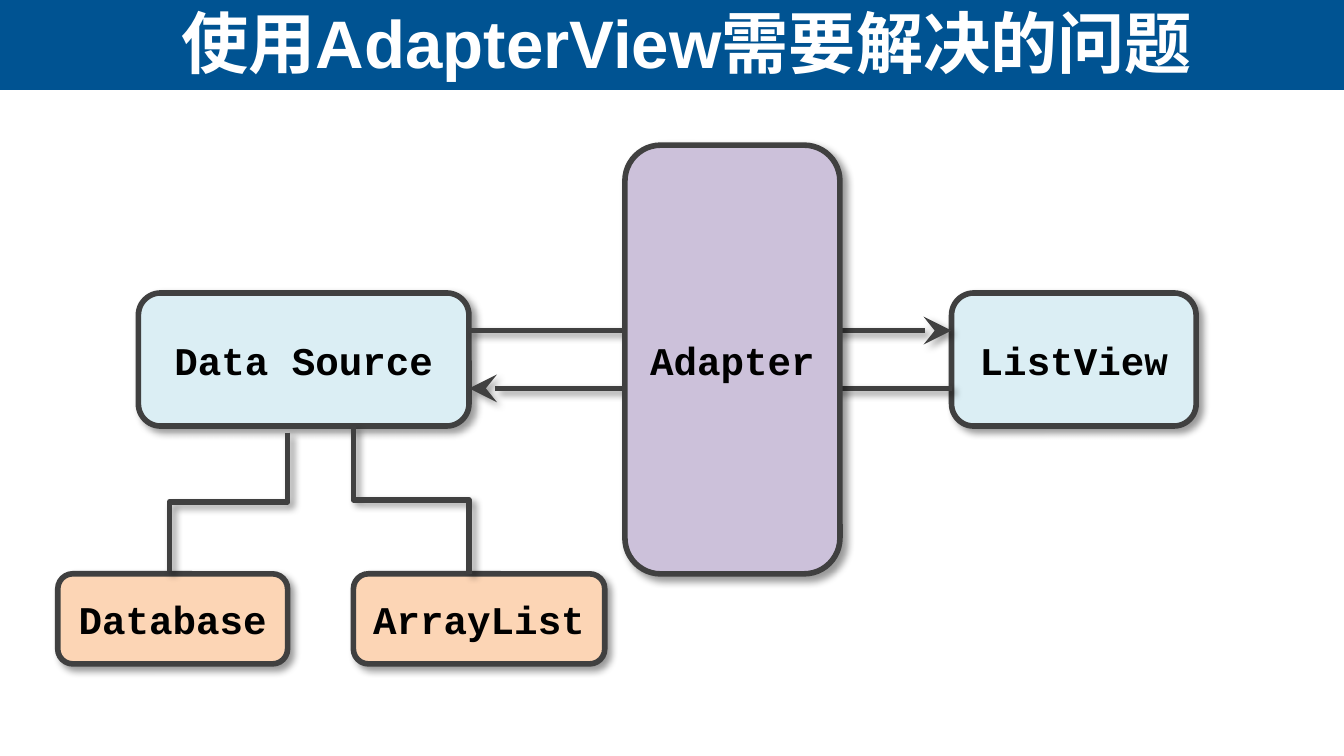
import pptx
import pptx.util
import pptx.oxml
import pptx.oxml.ns
import pptx.dml.color
import pptx.enum.shapes
import pptx.enum.text
from pptx.util import Inches

RGB = pptx.dml.color.RGBColor
SHAPE = pptx.enum.shapes.MSO_SHAPE
LINK = pptx.enum.shapes.MSO_CONNECTOR
ALIGN = pptx.enum.text.PP_ALIGN
MIDDLE = pptx.enum.text.MSO_ANCHOR.MIDDLE

NAVY = RGB(0x00, 0x53, 0x92)
WHITE = RGB(0xFF, 0xFF, 0xFF)
BLACK = RGB(0x00, 0x00, 0x00)
GREY = RGB(0x40, 0x40, 0x40)
AQUA = RGB(0xDB, 0xEE, 0xF4)
PEACH = RGB(0xFC, 0xD5, 0xB5)
LILAC = RGB(0xCC, 0xC1, 0xDA)

SHADOW = (
    f"<a:effectLst {pptx.oxml.ns.nsdecls('a')}>"
    '<a:outerShdw blurRad="50800" dist="38100" dir="2700000" algn="tl" rotWithShape="0">'
    '<a:srgbClr val="000000"><a:alpha val="40000"/></a:srgbClr>'
    "</a:outerShdw></a:effectLst>"
)


def style(item):
    """Give a box or connector the thick grey line and soft shadow."""
    item.line.color.rgb = GREY
    item.line.width = pptx.util.Pt(3)
    item._element.spPr.append(pptx.oxml.parse_xml(SHADOW))


def set_font(para, name, size, color):
    para.alignment = ALIGN.CENTER
    font = para.font
    font.name, font.size, font.bold = name, pptx.util.Pt(size), True
    font.color.rgb = color


def add_header(slide, left, top, width, height):
    band = slide.shapes.add_shape(
        SHAPE.RECTANGLE, Inches(left), Inches(top), Inches(width), Inches(height))
    band.shadow.inherit = False
    band.fill.solid()
    band.fill.fore_color.rgb = NAVY
    band.line.fill.background()
    slide.shapes._spTree.insert(2, band._element)  # behind the title

    title = slide.shapes.title
    title.left, title.top = Inches(left + 0.61), Inches(top - 0.16)
    title.width, title.height = Inches(width - 1), Inches(height + 0.27)
    frame = title.text_frame
    frame.text = "使用AdapterView需要解决的问题"
    frame.vertical_anchor = MIDDLE
    set_font(frame.paragraphs[0], "Arial", 36, WHITE)


def add_box(shapes, text, fill, left, top, width, height):
    box = shapes.add_shape(
        SHAPE.ROUNDED_RECTANGLE, Inches(left), Inches(top), Inches(width), Inches(height))
    box.fill.solid()
    box.fill.fore_color.rgb = fill
    style(box)
    frame = box.text_frame
    frame.text = text
    frame.vertical_anchor = MIDDLE
    set_font(frame.paragraphs[0], "Courier New", 21, BLACK)


def add_arrow(shapes, start, end, y):
    arrow = shapes.add_connector(
        LINK.STRAIGHT, Inches(start), Inches(y), Inches(end), Inches(y))
    style(arrow)
    tip = pptx.oxml.parse_xml(
        f"<a:tailEnd {pptx.oxml.ns.nsdecls('a')} type='stealth' w='lg' len='lg'/>")
    arrow._element.spPr.get_or_add_ln().append(tip)


def add_elbow(shapes, x1, y1, x2, y2):
    """Link two points by a path that leaves and arrives vertically."""
    mid_x, mid_y = (x1 + x2) / 2, (y1 + y2) / 2
    # A quarter turn swaps the sides; the sign of dx sets the flip.
    dx, dy = (x2 - x1) / 2, (y2 - y1) / 2
    elbow = shapes.add_connector(
        LINK.ELBOW, Inches(mid_x - dy), Inches(mid_y + dx),
        Inches(mid_x + dy), Inches(mid_y - dx))
    elbow._element.spPr.get_or_add_xfrm().set("rot", "5400000")
    style(elbow)


def add_diagram(slide, left, top):
    shapes = slide.shapes.add_group_shape().shapes
    row, base = top + 1.1, top + 3.19
    source, view = left + 0.6, left + 6.65
    edge = source + 2.46

    add_box(shapes, "ListView", AQUA, view, row, 1.82, 0.99)
    add_box(shapes, "Data Source", AQUA, source, row, 2.46, 0.99)
    add_box(shapes, "Database", PEACH, left, base, 1.71, 0.67)
    add_box(shapes, "ArrayList", PEACH, left + 2.2, base, 1.87, 0.67)
    add_arrow(shapes, edge, view, row + 0.28)
    add_arrow(shapes, view, edge, row + 0.71)
    add_box(shapes, "Adapter", LILAC, left + 4.22, top, 1.6, 3.19)
    add_elbow(shapes, left + 1.71, row + 1.04, left + 0.83, base - 0.02)
    add_elbow(shapes, left + 2.2, row + 0.99, edge, base)


def main():
    deck = pptx.Presentation()
    deck.slide_width = Inches(10)
    deck.slide_height = Inches(10 * 9 / 16)
    slide = deck.slides.add_slide(deck.slide_layouts[5])
    add_header(slide, 0, 0, 10, 0.67)
    add_diagram(slide, 0.43, 1.08)
    deck.save("out.pptx")


if __name__ == "__main__":
    main()
